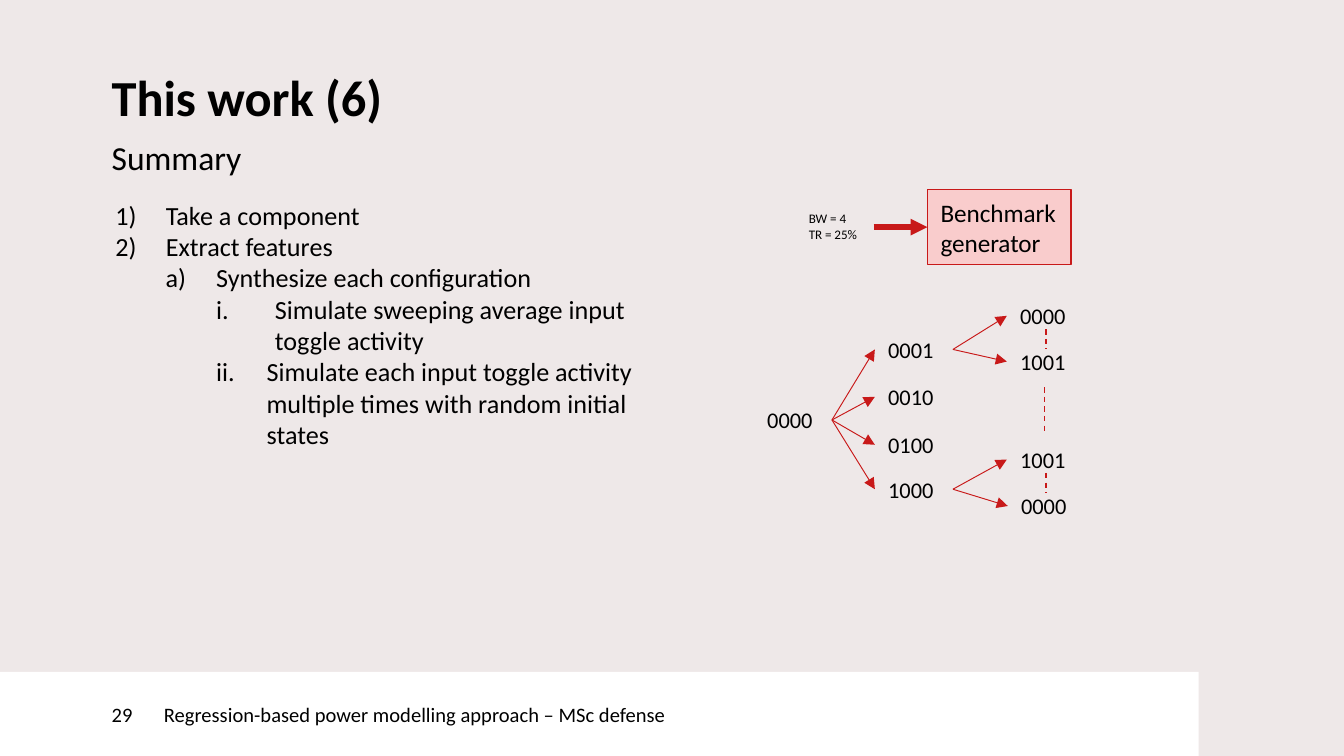
from dataclasses import dataclass

from lxml.etree import SubElement
from pptx import Presentation
from pptx.dml.color import RGBColor
from pptx.enum.dml import MSO_LINE
from pptx.enum.shapes import MSO_CONNECTOR, MSO_SHAPE
from pptx.enum.text import MSO_ANCHOR as Anchor, MSO_AUTO_SIZE as AutoSize, PP_ALIGN as Align
from pptx.oxml.ns import qn
from pptx.util import Pt

BACKGROUND = RGBColor(0xEE, 0xE8, 0xE8)
BLACK = RGBColor(0x00, 0x00, 0x00)
WHITE = RGBColor(0xFF, 0xFF, 0xFF)
RED = RGBColor(0xC8, 0x19, 0x19)
PINK = RGBColor(0xF9, 0xCC, 0xCC)
FONT = "Calibri"

NODE_W, NODE_H = 41.8, 21.6


@dataclass(frozen=True)
class Step:
    text: str
    numbering: str
    level: int
    margin: float
    hanging: float = 27


@dataclass(frozen=True)
class Node:
    text: str
    left: float
    middle: float
    children: tuple["Node", ...] = ()


def write(paragraph, text: str, *, size: float, bold: bool = False) -> None:
    run = paragraph.add_run()
    run.text = text
    run.font.name = FONT
    run.font.size = Pt(size)
    run.font.bold = bold
    run.font.color.rgb = BLACK


def add_text(slide, left: float, top: float, width: float, height: float,
             lines: list[str], size: float):
    box = slide.shapes.add_textbox(Pt(left), Pt(top), Pt(width), Pt(height))
    frame = box.text_frame
    frame.word_wrap = True
    for index, line in enumerate(lines):
        paragraph = frame.add_paragraph() if index else frame.paragraphs[0]
        write(paragraph, line, size=size)
    return frame


def add_panel(slide, left: float, top: float, width: float, height: float, text: str, *,
              size: float, fill: RGBColor, outline: RGBColor | None = None,
              inset: float | None = None) -> None:
    panel = slide.shapes.add_shape(MSO_SHAPE.RECTANGLE, Pt(left), Pt(top), Pt(width), Pt(height))
    panel.shadow.inherit = False
    panel.fill.solid()
    panel.fill.fore_color.rgb = fill
    if outline is None:
        panel.line.fill.background()
    else:
        panel.line.color.rgb = outline
        panel.line.width = Pt(0.75)
    frame = panel.text_frame
    frame.word_wrap = True
    frame.vertical_anchor = Anchor.MIDDLE
    if inset is not None:
        frame.margin_left = Pt(inset)
        frame.margin_top = frame.margin_right = frame.margin_bottom = Pt(0)
    frame.paragraphs[0].alignment = Align.LEFT
    write(frame.paragraphs[0], text, size=size)


def add_line(slide, x1: float, y1: float, x2: float, y2: float, *,
             width: float, arrow: bool = True) -> None:
    link = slide.shapes.add_connector(MSO_CONNECTOR.STRAIGHT, Pt(x1), Pt(y1), Pt(x2), Pt(y2))
    link.line.color.rgb = RED
    link.line.width = Pt(width)
    if arrow:
        SubElement(link.line._get_or_add_ln(), qn("a:tailEnd"), type="triangle")
    else:
        link.line.dash_style = MSO_LINE.DASH
    SubElement(link._element.spPr, qn("a:effectLst"))


def add_tree(slide, node: Node) -> None:
    add_text(slide, node.left, node.middle - NODE_H / 2, NODE_W, NODE_H, [node.text], 12)
    for child in node.children:
        add_line(slide, node.left + NODE_W, node.middle, child.left, child.middle, width=0.5)
        add_tree(slide, child)


def add_steps(slide, steps: list[Step]) -> None:
    frame = add_text(slide, 54.7, 103, 322.6, 159.8, [step.text for step in steps], 14)
    for paragraph, step in zip(frame.paragraphs, steps):
        paragraph.level = step.level
        properties = paragraph._p.get_or_add_pPr()
        properties.set("marL", str(Pt(step.margin)))
        properties.set("indent", str(Pt(-step.hanging)))
        SubElement(properties, qn("a:buFont"), typeface="+mj-lt")
        SubElement(properties, qn("a:buAutoNum"), type=step.numbering)


def add_title(slide, heading: str, subheading: str) -> None:
    title = slide.shapes.title
    title.left, title.top, title.width, title.height = Pt(59.8), Pt(41), Pt(594.7), Pt(42.5)
    frame = title.text_frame
    frame.auto_size = AutoSize.NONE
    frame.word_wrap = True
    frame.vertical_anchor = Anchor.TOP
    frame.margin_left = frame.margin_top = frame.margin_right = frame.margin_bottom = Pt(0)
    paragraph = frame.paragraphs[0]
    paragraph.alignment = Align.LEFT
    paragraph.line_spacing = Pt(27)
    write(paragraph, heading, size=27, bold=True)
    paragraph.add_line_break()
    write(paragraph, subheading, size=18)


STEPS = [
    Step("Take a component", "arabicParenR", 0, 27),
    Step("Extract features", "arabicParenR", 0, 27),
    Step("Synthesize each configuration", "alphaLcParenR", 1, 54),
    Step("Simulate sweeping average input toggle activity", "romanLcPeriod", 2, 85.5, 31.5),
    Step("Simulate each input toggle activity multiple times with random initial states",
         "romanLcPeriod", 2, 81),
]

UPPER_LEAVES = (Node("0000", 539.4, 169.2), Node("1001", 539.4, 193.7))
LOWER_LEAVES = (Node("1001", 539.4, 246.2), Node("0000", 539.9, 271.1))
TREE = Node("0000", 403.9, 225, (
    Node("0001", 468.7, 187.2, UPPER_LEAVES),
    Node("0010", 468.7, 212.6),
    Node("0100", 468.7, 238.3),
    Node("1000", 468.7, 262.1, LOWER_LEAVES),
))


def main() -> None:
    deck = Presentation()
    deck.slide_width, deck.slide_height = Pt(720), Pt(405)
    slide = deck.slides.add_slide(deck.slide_layouts[5])
    slide.background.fill.solid()
    slide.background.fill.fore_color.rgb = BACKGROUND

    # Title and numbered steps
    add_title(slide, "This work (6)", "Summary")
    add_steps(slide, STEPS)

    # Footer band with the page number
    add_panel(slide, 87.8, 360, 554.4, 45, "Regression-based power modelling approach – MSc defense",
              size=11, fill=WHITE, inset=0)
    add_panel(slide, 0, 360, 87.8, 45, "29", size=11, fill=WHITE, inset=59.8)

    # Tree of input states, with dashes for the states left out
    add_tree(slide, TREE)
    for first_leaf in (UPPER_LEAVES[0], LOWER_LEAVES[0]):
        add_line(slide, 560.3, first_leaf.middle + 7.2, 560.3, first_leaf.middle + 18,
                 width=0.75, arrow=False)
    add_line(slide, 559.5, 207.4, 559.5, 232.6, width=0.75, arrow=False)

    # Benchmark generator and its inputs
    add_panel(slide, 496.8, 101.5, 77, 40.3, "Benchmark generator",
              size=13.5, fill=PINK, outline=RED)
    add_text(slide, 426.2, 109.4, 41.8, 24.5, ["BW = 4", "TR = 25%"], 7)
    add_line(slide, 468, 121.7, 496.8, 121.7, width=3)

    deck.save("out.pptx")


if __name__ == "__main__":
    main()
